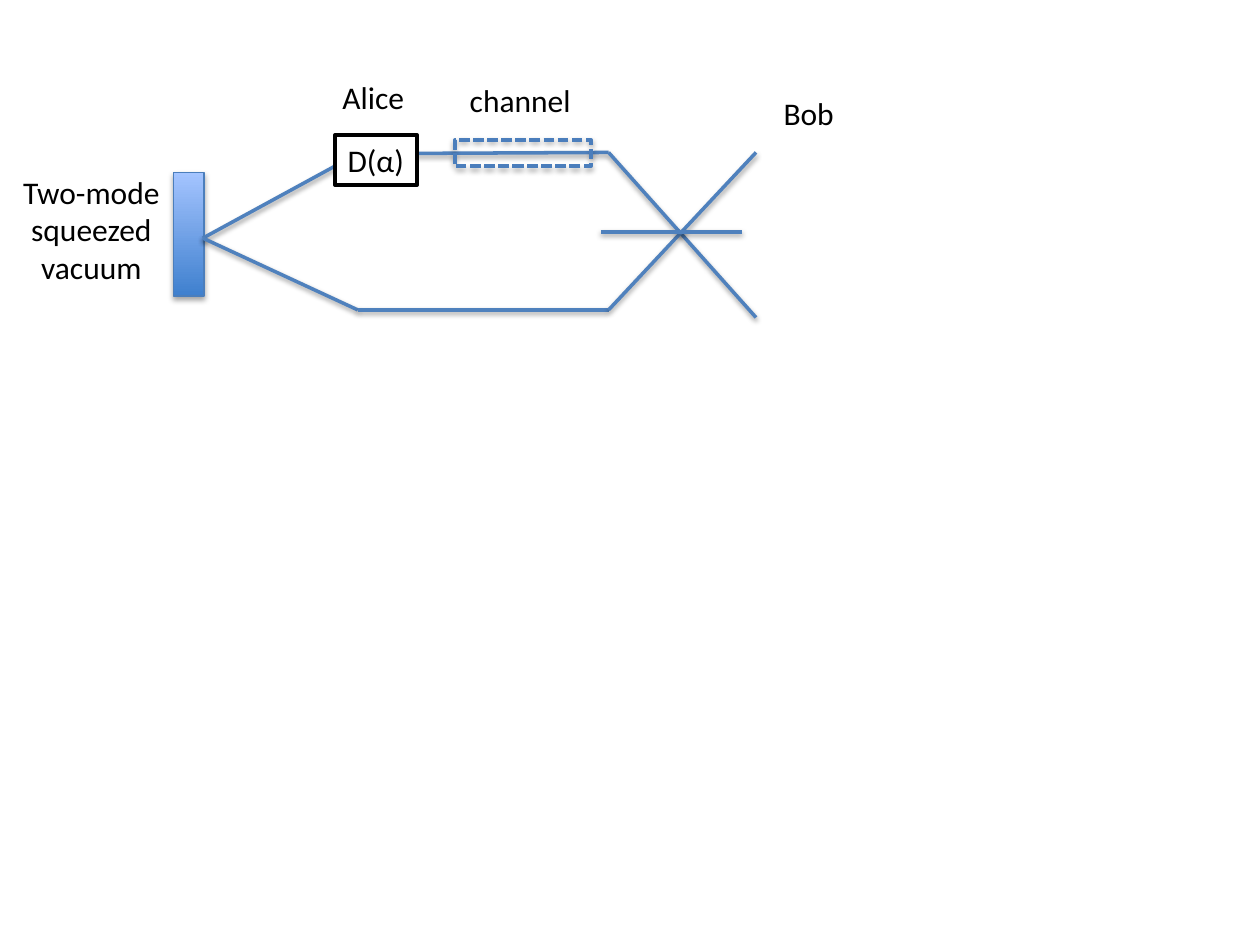
from lxml import etree
from pptx import Presentation
from pptx import util as u
from pptx.dml.color import RGBColor
from pptx.enum import dml, shapes, text
from pptx.oxml.ns import qn

BEAM, EDGE, BLACK, WHITE = "4F81BD", "4B7EBC", "000000", "FFFFFF"


def rgb(value):
    return RGBColor.from_string(value)


class Diagram:
    font, size, weight = "Calibri", 18, 2

    def __init__(self, slide):
        self.slide = slide

    def outline(self, line, color, weight):
        line.color.rgb = rgb(color)
        line.width = u.Pt(weight)

    def shadow(self, shape, opacity, distance):
        """Soft shadow straight below; call after fill and line are set."""
        properties = shape._element.spPr
        for effects in properties.findall(qn("a:effectLst")):
            properties.remove(effects)
        effects = etree.SubElement(properties, qn("a:effectLst"))
        outer = etree.SubElement(effects, qn("a:outerShdw"), blurRad=str(u.Pt(3.1)),
                                 dist=str(u.Pt(distance)), dir="5400000", rotWithShape="0")
        color = etree.SubElement(outer, qn("a:srgbClr"), val=BLACK)
        etree.SubElement(color, qn("a:alpha"), val=str(opacity * 1000))

    def box(self, left, top, width, height, weight, gradient=None, dash=None):
        shape = self.slide.shapes.add_shape(
            shapes.MSO_SHAPE.RECTANGLE, *map(u.Inches, (left, top, width, height)))
        if gradient:
            shape.fill.gradient()
            shape.fill.gradient_angle = 90
            for stop, color in zip(shape.fill.gradient_stops, gradient):
                stop.color.rgb = rgb(color)
        else:
            shape.fill.background()
        self.outline(shape.line, EDGE, weight)
        if dash:
            shape.line.dash_style = dash
        self.shadow(shape, 35, 1.8)

    def beam(self, start, end):
        connector = self.slide.shapes.add_connector(
            shapes.MSO_CONNECTOR.STRAIGHT, *map(u.Inches, start + end))
        self.outline(connector.line, BEAM, self.weight)
        self.shadow(connector, 38, 1.6)

    def label(self, lines, left, top, width, height=0.4, wrap=False,
              align=text.PP_ALIGN.LEFT, framed=False):
        shape = self.slide.shapes.add_textbox(*map(u.Inches, (left, top, width, height)))
        if framed:
            shape.fill.solid()
            shape.fill.fore_color.rgb = rgb(WHITE)
            self.outline(shape.line, BLACK, self.weight)
        frame = shape.text_frame
        frame.word_wrap = wrap
        frame.auto_size = text.MSO_AUTO_SIZE.SHAPE_TO_FIT_TEXT
        frame.text = lines
        for paragraph in frame.paragraphs:
            paragraph.alignment = align
            paragraph.font.name = self.font
            paragraph.font.size = u.Pt(self.size)
            paragraph.font.color.rgb = rgb(BLACK)


presentation = Presentation()
presentation.slide_width, presentation.slide_height = u.Inches(10), u.Inches(7.5)
blank_layout = presentation.slide_layouts[6]
diagram = Diagram(presentation.slides.add_slide(blank_layout))

# Source of the two modes
diagram.box(1.38, 1.37, 0.24, 0.98, 0.75, gradient=("3F80CE", "A4C4FF"))
diagram.label("Two-mode\nsqueezed\nvacuum", 0.07, 1.32, 1.31, 1.01,
              align=text.PP_ALIGN.CENTER)

# Upper and lower beams, crossing at the beam splitter
source = (1.61, 1.89)
upper_left, upper_right = (2.84, 1.22), (4.83, 1.21)
lower_left, lower_right = (2.84, 2.46), (4.83, 2.46)
for start, end in (
    (source, upper_left), (source, lower_left),
    (upper_left, upper_right), (lower_left, lower_right),
    (upper_right, (6, 2.52)), (lower_right, (6, 1.21)),
):
    diagram.beam(start, end)

# Beam splitter
diagram.beam((4.77, 1.84), (5.89, 1.84))

# Displacement and channel
diagram.label("D(α)", 2.66, 1.07, 0.65, framed=True)
diagram.box(3.61, 1.11, 1.08, 0.21, 2, dash=dml.MSO_LINE.SQUARE_DOT)

# Party and channel names
diagram.label("Alice", 2.62, 0.57, 0.7)
diagram.label("channel", 3.63, 0.59, 1.06, wrap=True)
diagram.label("Bob", 6.12, 0.7, 0.61)

presentation.save("out.pptx")
